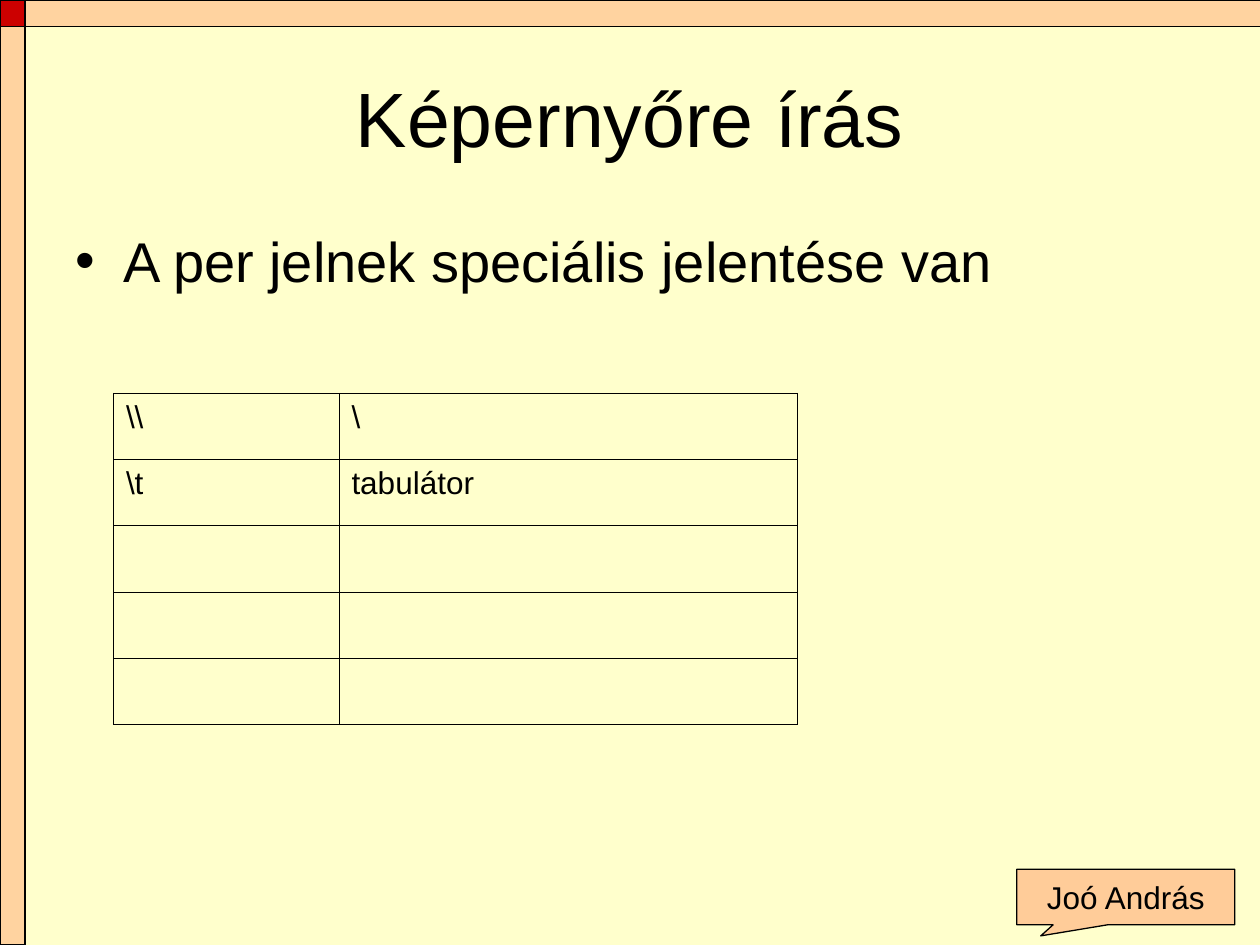
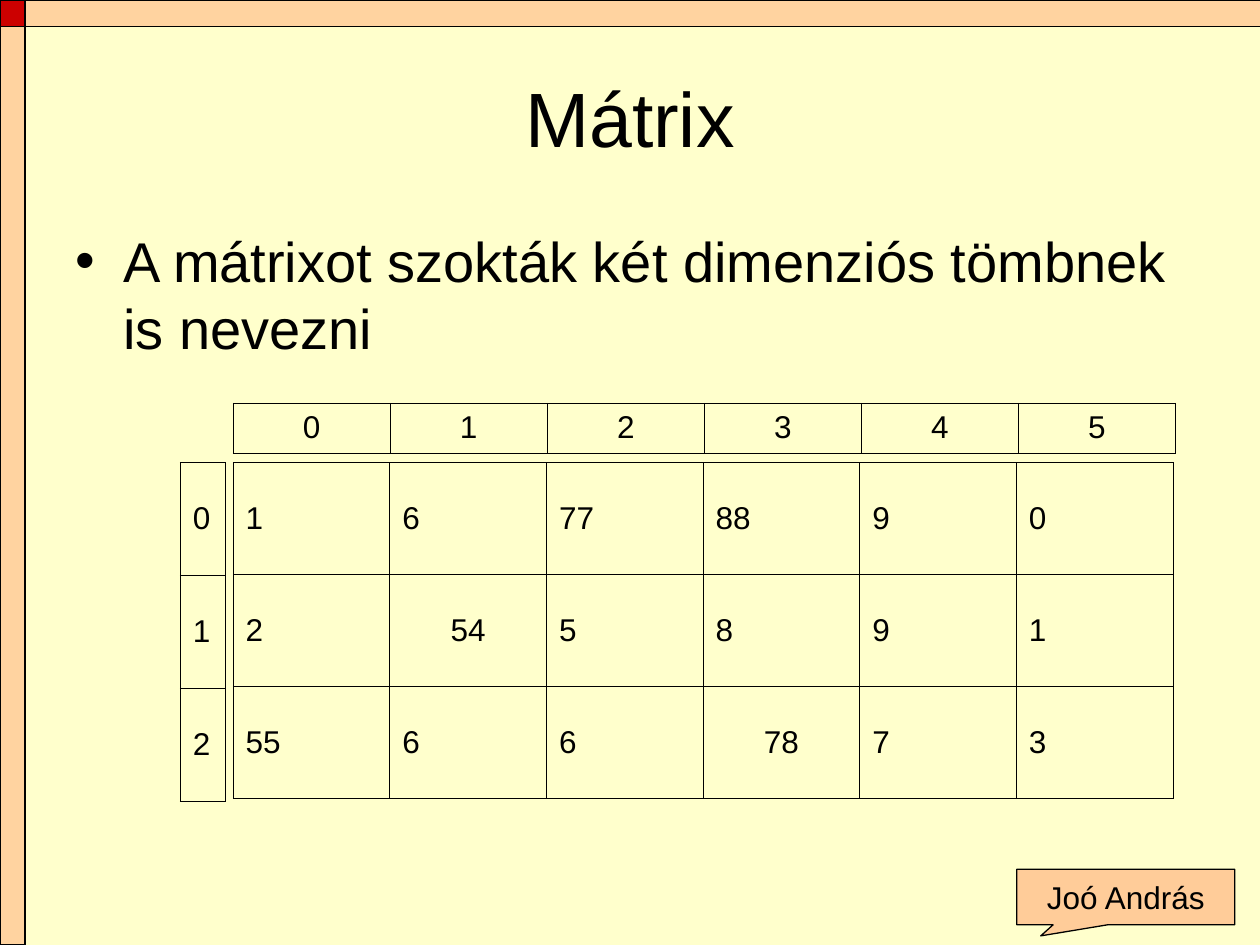
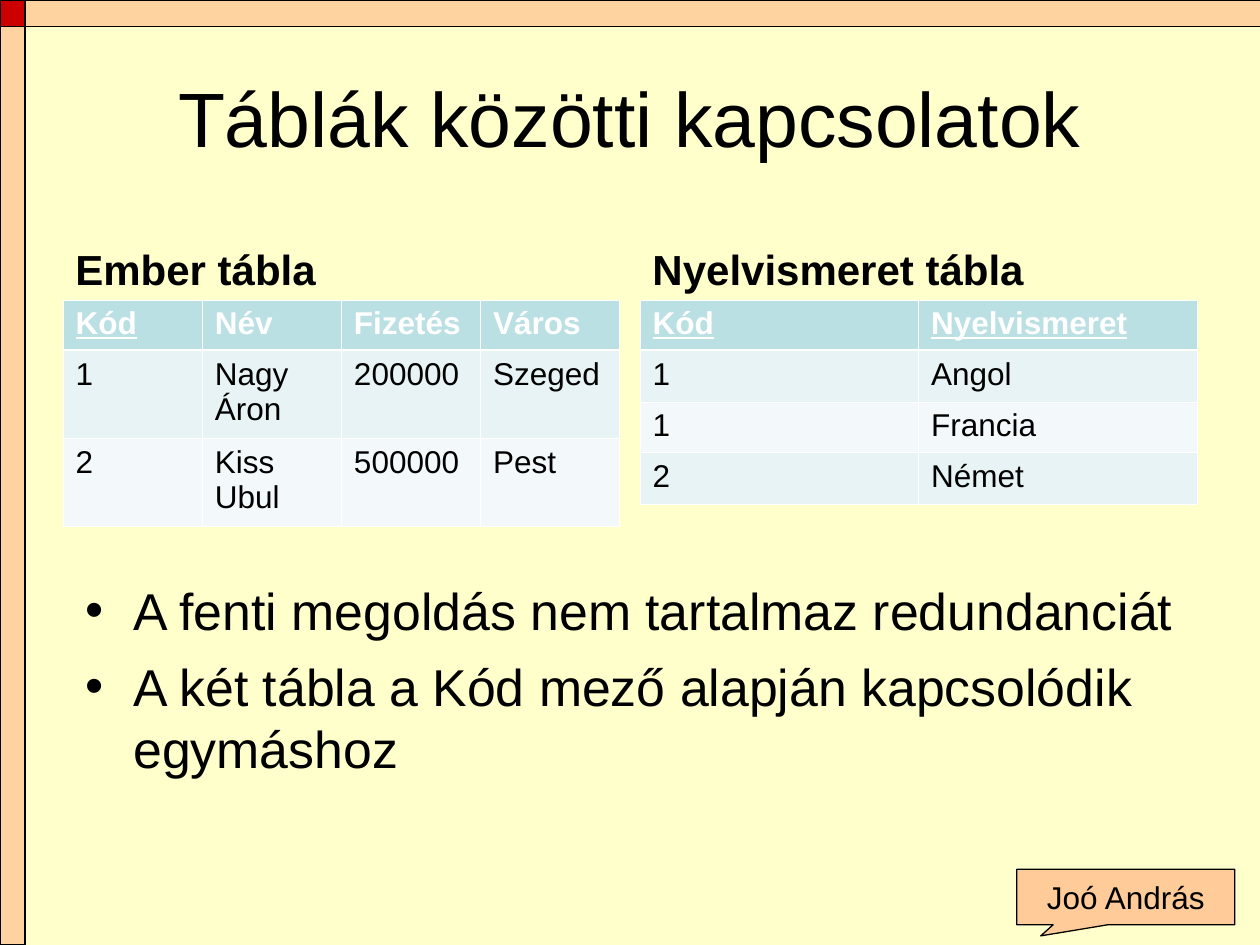
"""Builds three Hungarian programming-course slides with tables."""
import dataclasses

import pptx
import pptx.dml.color
import pptx.enum.shapes
import pptx.enum.text
import pptx.oxml.ns
import pptx.util
from lxml import etree

Inches, Pt = pptx.util.Inches, pptx.util.Pt
SHAPE = pptx.enum.shapes.MSO_SHAPE
ALIGN = pptx.enum.text.PP_ALIGN
ANCHOR = pptx.enum.text.MSO_ANCHOR
qn = pptx.oxml.ns.qn


@dataclasses.dataclass(frozen=True)
class Theme:
    font: str = "Arial"
    paper: str = "FFFFCC"
    band: str = "FFCC99"
    corner: str = "CC0000"
    ink: str = "000000"
    white: str = "FFFFFF"
    header: str = "BBE0E3"
    stripes: tuple = ("E7F3F4", "F3F9FA")
    title: float = 44
    body: float = 32
    notes: float = 29.6
    heading: float = 24
    small: float = 18
    thin: float = 0.45
    thick: float = 1.47


THEME = Theme()
AUTHOR = "Joó András"
SIDE, TOP = 0.2, 0.21
BODY_BOX = (0.5, 1.75, 9, 4.95)

ESCAPES = {
    "title": "Képernyőre írás",
    "points": ["A per jelnek speciális jelentése van"],
    "rows": [["\\\\", "\\"], ["\\t", "tabulátor"], ["", ""], ["", ""], ["", ""]],
}
MATRIX = {
    "title": "Mátrix",
    "points": ["A mátrixot szokták két dimenziós tömbnek is nevezni"],
    "rows": [[1, 6, 77, 88, 9, 0], [2, 54, 5, 8, 9, 1], [55, 6, 6, 78, 7, 3]],
    "centred": {(1, 1), (2, 3)},
}
RELATIONS = {
    "title": "Táblák közötti kapcsolatok",
    "tables": [
        ("Ember tábla", {"Kód"}, [0.4, 0.7, 0.7],
         [["Kód", "Név", "Fizetés", "Város"],
          ["1", "Nagy Áron", "200000", "Szeged"],
          ["2", "Kiss Ubul", "500000", "Pest"]]),
        ("Nyelvismeret tábla", {"Kód", "Nyelvismeret"}, [0.4, 0.41, 0.4, 0.41],
         [["Kód", "Nyelvismeret"], ["1", "Angol"], ["1", "Francia"], ["2", "Német"]]),
    ],
    "points": ["A fenti megoldás nem tartalmaz redundanciát",
               "A két tábla a Kód mező alapján kapcsolódik egymáshoz"],
}


def rgb(value):
    return pptx.dml.color.RGBColor.from_string(value)


def style(paragraph, size, color=THEME.ink, bold=False, underline=False, align=ALIGN.LEFT):
    paragraph.alignment = align
    font = paragraph.font
    font.name, font.size, font.bold, font.underline = THEME.font, Pt(size), bold, underline
    font.color.rgb = rgb(color)


def add_block(slide, shape_type, box, color, opacity=100):
    block = slide.shapes.add_shape(shape_type, *map(Inches, box))
    block.shadow.inherit = False
    block.fill.solid()
    block.fill.fore_color.rgb = rgb(color)
    block.line.color.rgb = rgb(THEME.ink)
    block.line.width = Pt(0.75)
    if opacity < 100:
        tint = block.fill._xPr.find(qn("a:solidFill"))[0]
        etree.SubElement(tint, qn("a:alpha"), val=str(opacity * 1000))
    return block


def add_slide(deck, title):
    slide = deck.slides.add_slide(deck.slide_layouts[5])
    add_block(slide, SHAPE.RECTANGLE, (0, TOP, SIDE, 7.5 - TOP), THEME.band, 85)
    add_block(slide, SHAPE.RECTANGLE, (SIDE, 0, 9.84, TOP), THEME.band, 85)
    author = add_block(slide, SHAPE.RECTANGULAR_CALLOUT, (8.07, 6.9, 1.73, 0.44), THEME.band)
    author.adjustments[0], author.adjustments[1] = -0.39, 0.7
    author.text_frame.text = AUTHOR
    author.text_frame.vertical_anchor = ANCHOR.MIDDLE
    style(author.text_frame.paragraphs[0], THEME.small, align=ALIGN.CENTER)
    add_block(slide, SHAPE.RECTANGLE, (0, 0, SIDE, TOP), THEME.corner)

    heading = slide.shapes.title
    heading.left, heading.top, heading.width, heading.height = map(Inches, (0.5, 0.3, 9, 1.25))
    heading.text_frame.text = title
    heading.text_frame.vertical_anchor = ANCHOR.MIDDLE
    style(heading.text_frame.paragraphs[0], THEME.title, align=ALIGN.CENTER)
    return slide


def add_text(slide, box, lines, size, bold=False, bulleted=False, anchor=ANCHOR.TOP):
    frame = slide.shapes.add_textbox(*map(Inches, box)).text_frame
    frame.word_wrap = True
    frame.vertical_anchor = anchor
    for index, line in enumerate(lines):
        paragraph = frame.add_paragraph() if index else frame.paragraphs[0]
        paragraph.text = line
        if index:
            paragraph.space_before = Pt(8)
        if bulleted:
            props = paragraph._p.get_or_add_pPr()
            props.set("marL", str(Inches(0.38)))
            props.set("indent", str(-Inches(0.38)))
            etree.SubElement(props, qn("a:buFont"), typeface=THEME.font)
            etree.SubElement(props, qn("a:buChar"), char="•")
        style(paragraph, size, bold=bold)


def set_borders(cell, color, widths):
    props = cell._tc.get_or_add_tcPr()
    for side, width in zip("LRTB", widths):
        line = etree.SubElement(props, qn("a:ln" + side), w=str(Pt(width)))
        fill = etree.SubElement(line, qn("a:solidFill"))
        etree.SubElement(fill, qn("a:srgbClr"), val=color)


def add_table(slide, left, top, widths, heights, rows):
    """Places a table without style bands and yields each cell with its row and column."""
    box = map(Inches, (left, top, sum(widths), sum(heights)))
    table = slide.shapes.add_table(len(rows), len(widths), *box).table
    table.first_row = table.horz_banding = False
    for column, width in zip(table.columns, widths):
        column.width = Inches(width)
    for row, height in zip(table.rows, heights):
        row.height = Inches(height)
    for r, values in enumerate(rows):
        for c, value in enumerate(values):
            cell = table.cell(r, c)
            cell.text = str(value)
            yield r, c, cell


def add_grid(slide, left, top, widths, heights, rows, anchor=ANCHOR.TOP, centred=()):
    for r, c, cell in add_table(slide, left, top, widths, heights, rows):
        cell.vertical_anchor = anchor
        set_borders(cell, THEME.ink, [THEME.thin] * 4)
        cell.fill.background()
        align = ALIGN.CENTER if (r, c) in centred else ALIGN.LEFT
        style(cell.text_frame.paragraphs[0], THEME.small, align=align)


def add_striped(slide, left, top, width, heights, rows, keys):
    columns = len(rows[0])
    for r, c, cell in add_table(slide, left, top, [width / columns] * columns, heights, rows):
        above = THEME.thick if r == 1 else THEME.thin
        below = THEME.thick if r == 0 else THEME.thin
        set_borders(cell, THEME.white, [THEME.thin, THEME.thin, above, below])
        cell.fill.solid()
        cell.fill.fore_color.rgb = rgb(THEME.stripes[(r - 1) % 2] if r else THEME.header)
        style(cell.text_frame.paragraphs[0], THEME.small,
              color=THEME.ink if r else THEME.white, bold=r == 0,
              underline=r == 0 and cell.text in keys)


def build_escapes(deck):
    slide = add_slide(deck, ESCAPES["title"])
    add_text(slide, BODY_BOX, ESCAPES["points"], THEME.body, bulleted=True)
    rows = ESCAPES["rows"]
    add_grid(slide, 0.9, 3.12, [1.79, 3.64], [2.63 / len(rows)] * len(rows), rows)


def build_matrix(deck):
    slide = add_slide(deck, MATRIX["title"])
    add_text(slide, BODY_BOX, MATRIX["points"], THEME.body, bulleted=True)
    rows = MATRIX["rows"]
    height, width = len(rows), len(rows[0])
    left, top = 1.85, 3.67
    add_grid(slide, left, top, [7.46 / width] * width, [2.67 / height] * height, rows,
             ANCHOR.MIDDLE, MATRIX["centred"])
    add_grid(slide, 1.43, top, [0.36], [2.69 / height] * height,
             [[r] for r in range(height)], ANCHOR.MIDDLE)
    add_grid(slide, left, 3.2, [7.48 / width] * width, [0.4], [range(width)],
             centred={(0, c) for c in range(width)})


def build_relations(deck):
    slide = add_slide(deck, RELATIONS["title"])
    width = 4.42
    for index, (name, keys, heights, rows) in enumerate(RELATIONS["tables"]):
        left = 0.5 + index * (width + 0.16)
        add_text(slide, (left, 1.68, width, 0.7), [name], THEME.heading, bold=True,
                 anchor=ANCHOR.BOTTOM)
        add_striped(slide, left, 2.38, width, heights, rows, keys)
    add_text(slide, (0.58, 4.54, 9, 2.32), RELATIONS["points"], THEME.notes, bulleted=True)


def main():
    deck = pptx.Presentation()
    deck.slide_width, deck.slide_height = Inches(10), Inches(7.5)
    paper = deck.slide_master.background.fill
    paper.solid()
    paper.fore_color.rgb = rgb(THEME.paper)
    for build in (build_escapes, build_matrix, build_relations):
        build(deck)
    deck.save("out.pptx")


if __name__ == "__main__":
    main()
